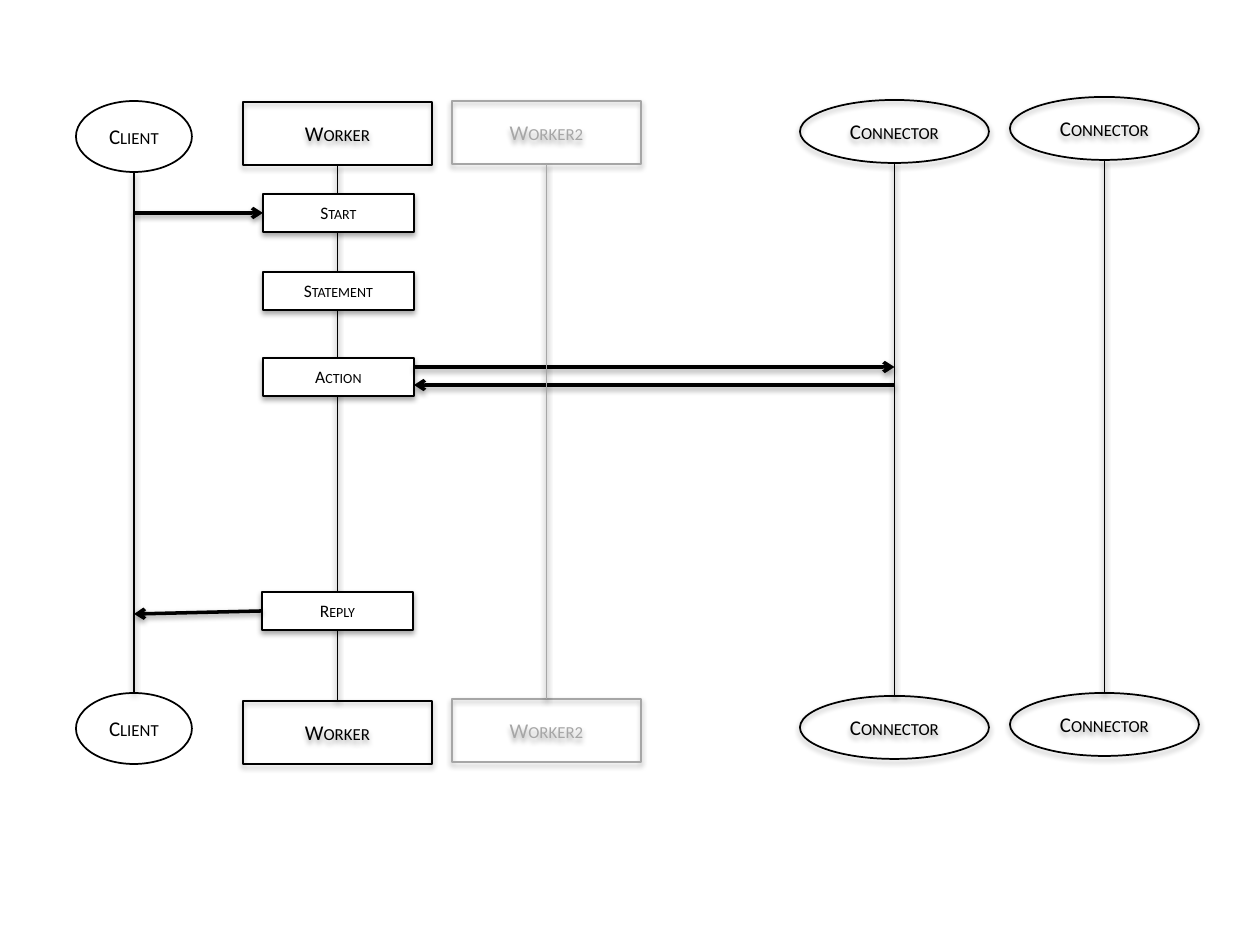
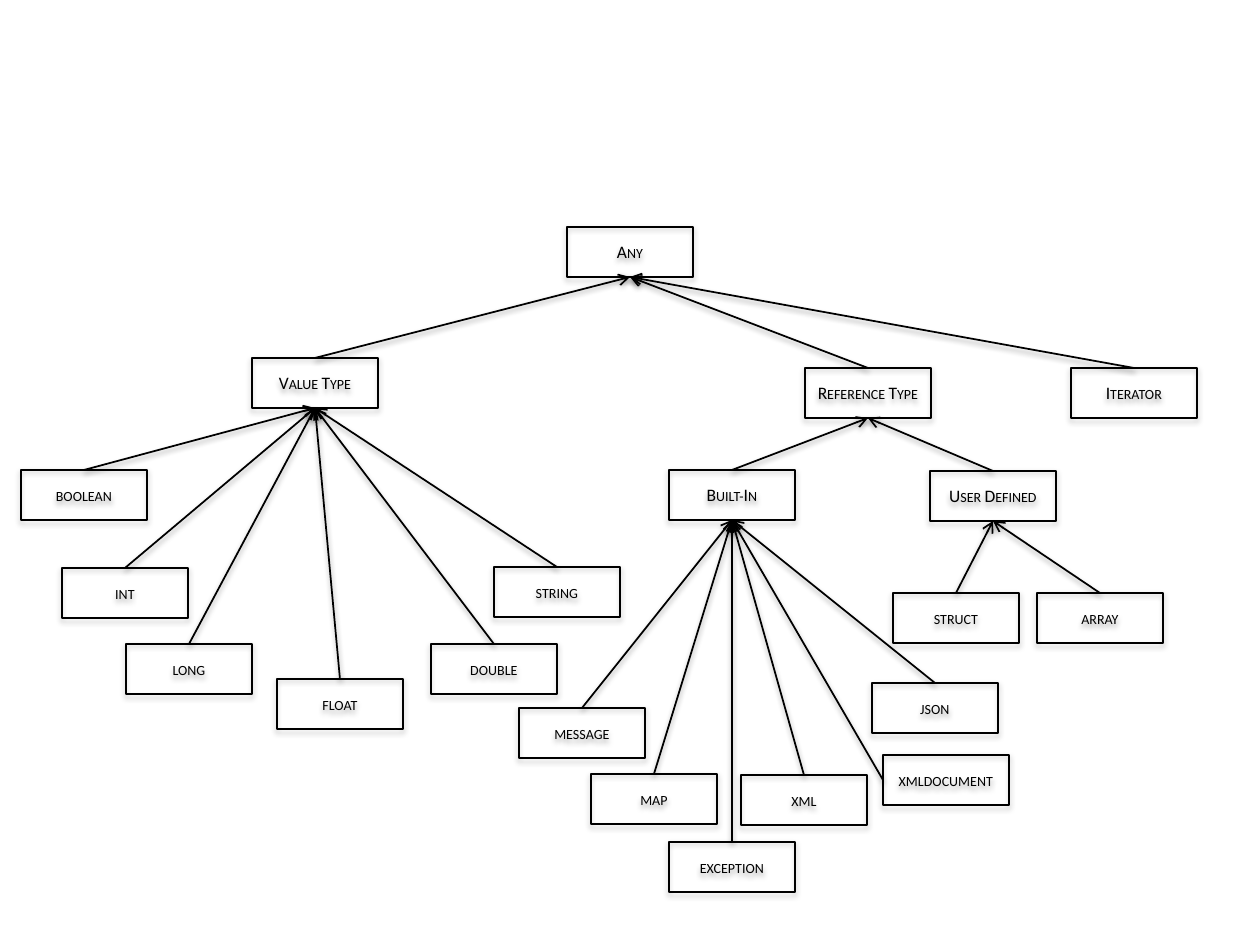
from lxml.etree import SubElement
from pptx import Presentation
from pptx.dml.color import RGBColor
from pptx.enum.shapes import MSO_CONNECTOR, MSO_SHAPE
from pptx.enum.text import MSO_ANCHOR, PP_ALIGN
from pptx.oxml.ns import qn
from pptx.util import Emu, Pt

BLACK = RGBColor(0x00, 0x00, 0x00)
GREY = RGBColor(0xA6, 0xA6, 0xA6)
WHITE = RGBColor(0xFF, 0xFF, 0xFF)
FONT = "Calibri"
PX_PER_INCH = 126
TOP, LEFT, BOTTOM = 0, 1, 2  # connection sites of a rectangle

HEAD_SIZE = (189, 63)
CLIENT_SIZE = (116, 71)
STEP_SIZE = (151, 38)
TYPE_SIZE = (126, 50)

# label: (parent, left, top)
TYPES = {
    "Any": (None, 546, 0),
    "Value Type": ("Any", 231, 131),
    "Reference Type": ("Any", 784, 141),
    "Iterator": ("Any", 1050, 141),
    "boolean": ("Value Type", 0, 243),
    "int": ("Value Type", 41, 341),
    "long": ("Value Type", 105, 417),
    "float": ("Value Type", 256, 452),
    "double": ("Value Type", 410, 417),
    "string": ("Value Type", 473, 340),
    "Built-In": ("Reference Type", 648, 243),
    "User Defined": ("Reference Type", 909, 244),
    "message": ("Built-In", 498, 481),
    "map": ("Built-In", 570, 547),
    "exception": ("Built-In", 648, 615),
    "xml": ("Built-In", 720, 548),
    "xmldocument": ("Built-In", 862, 528),
    "json": ("Built-In", 851, 456),
    "struct": ("User Defined", 872, 366),
    "array": ("User Defined", 1016, 366),
}


def px(length):
    return Emu(round(length * 914400 / PX_PER_INCH))


def add_shadow(properties, distance, opacity):
    """Fill the effect list, last in the shape properties, with a soft shadow below."""
    effects = properties.find(qn("a:effectLst"))
    if effects is None:
        effects = SubElement(properties, qn("a:effectLst"))
    shadow = SubElement(effects, qn("a:outerShdw"), blurRad="40000", dist=str(distance),
                        dir="5400000", rotWithShape="0")
    color = SubElement(shadow, qn("a:srgbClr"), val=str(BLACK))
    SubElement(color, qn("a:alpha"), val=str(opacity * 1000))


def write_text(shape, text, size=12, color=BLACK):
    frame = shape.text_frame
    frame.margin_left = frame.margin_right = 0
    frame.vertical_anchor = MSO_ANCHOR.MIDDLE
    paragraph = frame.paragraphs[0]
    paragraph.alignment = PP_ALIGN.CENTER
    run = paragraph.add_run()
    run.text = text
    run.font.name = FONT
    run.font.size = Pt(size)
    run.font.color.rgb = color
    run.font._element.set("cap", "small")


def add_box(slide, text, left, top, box_size, kind=MSO_SHAPE.RECTANGLE, fill=None,
            color=BLACK, weight=0.75, size=10, shadow=True):
    shape = slide.shapes.add_shape(kind, px(left), px(top), *map(px, box_size))
    if fill is None:
        shape.fill.background()
    else:
        shape.fill.solid()
        shape.fill.fore_color.rgb = fill
    shape.line.color.rgb = color
    shape.line.width = Pt(weight)
    shape.shadow.inherit = False
    if shadow:
        add_shadow(shape._element.spPr, 23000, 35)
    write_text(shape, text, size=size, color=color)
    return shape


def add_line(slide, start=(0, 0), end=(0, 0), begin=None, finish=None,
             color=BLACK, weight=1, arrow=True):
    """Draw a line; begin and finish are (shape, site) pairs that override the points."""
    line = slide.shapes.add_connector(MSO_CONNECTOR.STRAIGHT, *map(px, (*start, *end)))
    if begin:
        line.begin_connect(*begin)
    if finish:
        line.end_connect(*finish)
    line.line.color.rgb = color
    line.line.width = Pt(weight)
    if arrow:
        SubElement(line.line._get_or_add_ln(), qn("a:tailEnd"), type="arrow")
    add_shadow(line._element.spPr, 20000, 38)
    return line


def add_lifeline(slide, text, left, top, height, head_size=HEAD_SIZE,
                 kind=MSO_SHAPE.RECTANGLE, color=BLACK, shadow=True):
    """Draw two equal heads joined by a line and return the x of that line."""
    head_width, head_height = head_size
    foot_top = top + height - head_height
    head, foot = [add_box(slide, text, left, y, head_size, kind=kind, color=color,
                          weight=1, size=12, shadow=shadow) for y in (top, foot_top)]
    axis = left + head_width / 2
    joined = kind == MSO_SHAPE.RECTANGLE
    add_line(slide, (axis, top + head_height), (axis, foot_top),
             begin=(head, BOTTOM) if joined else None,
             finish=(foot, TOP) if joined else None, color=color, arrow=False)
    return axis


def add_sequence(slide, left, top):
    ellipse = MSO_SHAPE.OVAL
    add_lifeline(slide, "Worker", left + 167, top + 5, 662)
    client_axis = add_lifeline(slide, "Client", left, top + 4, 663, CLIENT_SIZE,
                               kind=ellipse, shadow=False)
    connector_axis = add_lifeline(slide, "Connector", left + 724, top + 3, 659, kind=ellipse)
    add_lifeline(slide, "Connector", left + 934, top, 659, kind=ellipse)

    steps = {}
    for text, x, y in (("Start", 187, 97), ("Statement", 187, 175),
                       ("Action", 187, 261), ("Reply", 186, 495)):
        steps[text] = add_box(slide, text, left + x, top + y, STEP_SIZE, fill=WHITE)

    add_line(slide, (client_axis, top + 116), finish=(steps["Start"], LEFT), weight=2)
    add_line(slide, end=(client_axis, top + 517), begin=(steps["Reply"], LEFT), weight=2)
    action_right = left + 187 + STEP_SIZE[0]
    add_line(slide, (action_right, top + 270), (connector_axis, top + 270), weight=2)
    add_line(slide, (connector_axis, top + 288), (action_right, top + 288), weight=2)

    add_lifeline(slide, "Worker2", left + 376, top + 4, 661, color=GREY)


def add_type_tree(slide, left, top):
    boxes = {text: add_box(slide, text, left + x, top + y, TYPE_SIZE)
             for text, (_, x, y) in TYPES.items()}
    for text, (parent, _, _) in TYPES.items():
        if parent:
            site = LEFT if text == "xmldocument" else TOP
            add_line(slide, begin=(boxes[text], site), finish=(boxes[parent], BOTTOM))


def main():
    presentation = Presentation()
    presentation.slide_width, presentation.slide_height = px(1260), px(945)
    blank = presentation.slide_layouts[6]
    add_sequence(presentation.slides.add_slide(blank), 76, 97)
    add_type_tree(presentation.slides.add_slide(blank), 21, 227)
    presentation.save("out.pptx")


if __name__ == "__main__":
    main()
